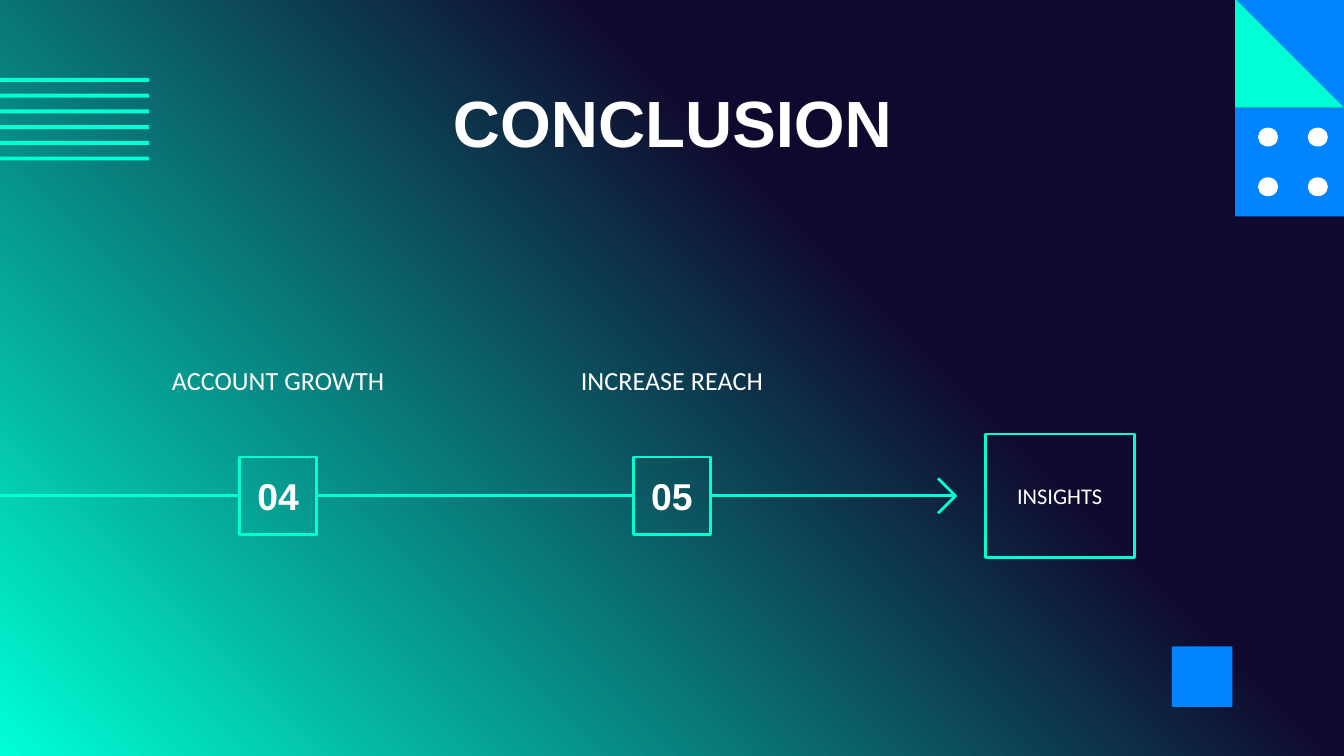
from copy import deepcopy

from pptx import Presentation
from pptx.dml.color import RGBColor
from pptx.enum.shapes import MSO_CONNECTOR, MSO_SHAPE
from pptx.enum.text import MSO_ANCHOR, PP_ALIGN
from pptx.oxml.ns import qn
from pptx.util import Inches, Pt

RECT, OVAL, TRI = MSO_SHAPE.RECTANGLE, MSO_SHAPE.OVAL, MSO_SHAPE.RIGHT_TRIANGLE
STRAIGHT = MSO_CONNECTOR.STRAIGHT
TOP, MIDDLE, CENTER = MSO_ANCHOR.TOP, MSO_ANCHOR.MIDDLE, PP_ALIGN.CENTER

MINT, BLUE, WHITE, NAVY = "00FFD5", "0084FF", "FFFFFF", "10092D"
STOPS = [(0, NAVY), (0.36, NAVY), (1, MINT)]
TITLE = "CONCLUSION"
STEPS = [("04", "ACCOUNT GROWTH"), ("05", "INCREASE REACH")]
GOAL = "INSIGHTS"

WIDTH = 10
HEIGHT = WIDTH * 9 / 16
AXIS = 3.69                     # height of the timeline
LAST, PITCH = WIDTH / 2, 2.93   # centre of the last step, gap between steps
BOX_W, BOX_H = 0.57, 0.58
LABEL_W = 2.56
TIP = 7.11
TILE = 0.81


def color(code):
    return RGBColor.from_string(code)


def outline(shape):
    shape.line.color.rgb = color(MINT)
    shape.line.width = Pt(1.5)


def solid(kind, x, y, w, h, code):
    shape = shapes.add_shape(kind, *map(Inches, (x, y, w, h)))
    shape.shadow.inherit = False
    shape.fill.solid()
    shape.fill.fore_color.rgb = color(code)
    shape.line.fill.background()
    return shape


def write(shape, text, size, font, bold=False, anchor=MIDDLE, inset=0.1):
    frame = shape.text_frame
    frame.word_wrap = True
    frame.vertical_anchor = anchor
    frame.margin_left = frame.margin_right = Inches(inset)
    frame.margin_top = frame.margin_bottom = Inches(inset)
    para = frame.paragraphs[0]
    para.text = text
    para.alignment = CENTER
    para.font.size = Pt(size)
    para.font.name = font
    para.font.bold = bold
    para.font.color.rgb = color(WHITE)


def frame_box(x, y, w, h):
    box = shapes.add_shape(RECT, *map(Inches, (x, y, w, h)))
    box.shadow.inherit = False
    box.fill.background()
    outline(box)
    return box


def rail(start, end):
    line = shapes.add_connector(
        STRAIGHT, *map(Inches, (start, AXIS, end, AXIS)))
    outline(line)
    props = line._element.spPr
    props.append(props.makeelement(qn("a:effectLst"), {}))


prs = Presentation()
prs.slide_width, prs.slide_height = Inches(WIDTH), Inches(HEIGHT)
slide = prs.slides.add_slide(prs.slide_layouts[5])
shapes = slide.shapes

# Background: python-pptx gives two stops, so one is doubled
fill = slide.background.fill
fill.gradient()
fill.gradient_angle = 225
last = list(slide._element.iter(qn("a:gs")))[-1]
last.addnext(deepcopy(last))
for stop, (place, code) in zip(fill.gradient_stops, STOPS):
    stop.position = place
    stop.color.rgb = color(code)

# Corner tiles, dots, stripes
left = WIDTH - TILE
solid(RECT, left, 0.8, TILE, TILE, BLUE)
solid(TRI, left, -0.01, TILE, TILE, BLUE).rotation = 180
solid(TRI, left, -0.01, TILE, TILE, MINT)
for col in range(2):
    for row in range(2):
        solid(OVAL, 9.36 + col * 0.37, 0.95 + row * 0.37, 0.15, 0.14, WHITE)
solid(RECT, 8.72, 4.81, 0.45, 0.45, BLUE)
for i in range(6):
    solid(RECT, 0, 0.58 + i * 0.117, 1.11, 0.03, MINT)

# Timeline
edge = 0
for i, (number, label) in enumerate(STEPS):
    mid = LAST - (len(STEPS) - 1 - i) * PITCH
    x = mid - BOX_W / 2
    rail(edge, x)
    edge = x + BOX_W
    write(frame_box(x, AXIS - BOX_H / 2, BOX_W, BOX_H), number, 20, "Arial", True)
    text = shapes.add_textbox(
        *map(Inches, (mid - LABEL_W / 2, 2.61, LABEL_W, 0.78)))
    write(text, label, 14, "Calibri", anchor=TOP)
rail(edge, TIP)

back, rise = TIP - 0.13, 0.13
head = shapes.build_freeform(Inches(back), Inches(AXIS + rise))
head.add_line_segments(
    [(Inches(TIP), Inches(AXIS)), (Inches(back), Inches(AXIS - rise))],
    close=False)
arrow = head.convert_to_shape()
arrow.shadow.inherit = False
arrow.fill.background()
outline(arrow)

write(frame_box(7.33, AXIS - 0.46, 1.11, 0.92), GOAL, 12, "Calibri", inset=0)

title = shapes.title
title.left, title.top = Inches(0.79), Inches(0.59)
title.width, title.height = Inches(8.43), Inches(0.63)
write(title, TITLE, 35, "Arial", True)

prs.save("out.pptx")
